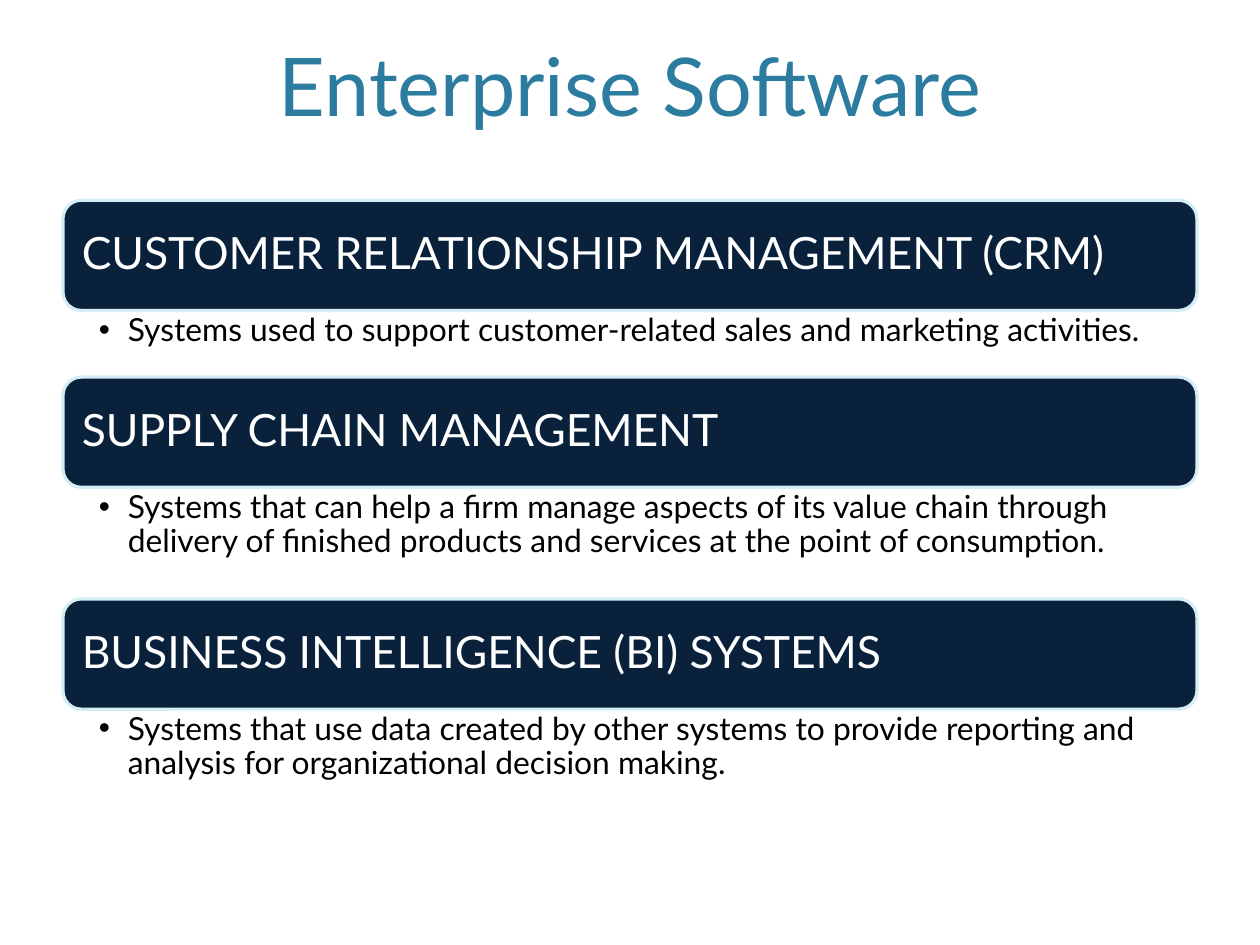
from lxml import etree
from pptx import Presentation
from pptx.dml.color import RGBColor
from pptx.enum import shapes, text
from pptx.oxml.ns import qn
from pptx.util import Cm, Pt

TITLE = "Enterprise Software"
# heading, description, height of the description in cm
SYSTEMS = [
    ("CUSTOMER RELATIONSHIP MANAGEMENT (CRM)",
     "Systems used to support customer-related sales and marketing activities.",
     1.48),
    ("SUPPLY CHAIN MANAGEMENT",
     "Systems that can help a firm manage aspects of its value chain through "
     "delivery of finished products and services at the point of consumption.",
     2.48),
    ("BUSINESS INTELLIGENCE (BI) SYSTEMS",
     "Systems that use data created by other systems to provide reporting and "
     "analysis for organizational decision making.",
     2.15),
]
FONT = "Lato"
NAVY, PALE, TEAL, WHITE, BLACK = "09213B", "D5EDF4", "2C7C9F", "FFFFFF", "000000"
LEFT, TOP, WIDTH, BAR_HEIGHT = 1.4, 4.45, 25.2, 2.45


def rgb(value):
    return RGBColor.from_string(value)


def write(sp, content, size, color, align=text.PP_ALIGN.LEFT,
          anchor=text.MSO_ANCHOR.TOP, insets=(0, 0, 0, 0), spacing=None,
          bullet=False):
    """Fill a shape with one formatted paragraph; insets are l, t, r, b in cm."""
    tf = sp.text_frame
    tf.word_wrap = True
    tf.auto_size = text.MSO_AUTO_SIZE.NONE
    tf.vertical_anchor = anchor
    tf.margin_left, tf.margin_top, tf.margin_right, tf.margin_bottom = map(Cm, insets)
    p = tf.paragraphs[0]
    p.alignment = align
    if spacing:
        p.line_spacing = spacing
    if bullet:
        pPr = p._p.get_or_add_pPr()
        pPr.set("marL", str(Cm(0.64)))
        pPr.set("indent", str(-Cm(0.64)))
        etree.SubElement(pPr, qn("a:buFont")).set("typeface", "Arial")
        etree.SubElement(pPr, qn("a:buChar")).set("char", "•")
    r = p.add_run()
    r.text = content
    r.font.name, r.font.size = FONT, Pt(size)
    r.font.color.rgb = rgb(color)


prs = Presentation()
prs.slide_width, prs.slide_height = Cm(28), Cm(21)
s = prs.slides.add_slide(prs.slide_layouts[5])

# Title
title = s.shapes.title
title.left, title.top, title.width, title.height = Cm(1.68), Cm(-1), Cm(24.64), Cm(4.1)
write(title, TITLE, 51, TEAL, align=text.PP_ALIGN.CENTER,
      anchor=text.MSO_ANCHOR.BOTTOM, insets=(0.28, 0.15, 0.28, 0.15))

# Heading bars, each with its description below
y = TOP
for heading, description, height in SYSTEMS:
    bar = s.shapes.add_shape(shapes.MSO_SHAPE.ROUNDED_RECTANGLE,
                             Cm(LEFT), Cm(y), Cm(WIDTH), Cm(BAR_HEIGHT))
    bar.shadow.inherit = False
    bar.fill.solid()
    bar.fill.fore_color.rgb = rgb(NAVY)
    bar.line.color.rgb = rgb(PALE)
    bar.line.width = Pt(2)
    # The rounded corners add their own 0.12 cm inset
    write(bar, heading, 28, WHITE, anchor=text.MSO_ANCHOR.MIDDLE,
          insets=(0.3, 0.3, 0.3, 0.3), spacing=0.9)
    y += BAR_HEIGHT

    box = s.shapes.add_textbox(Cm(LEFT), Cm(y), Cm(WIDTH), Cm(height))
    write(box, description, 20, BLACK, insets=(0.8, 0.08, 0.4, 0.08),
          spacing=0.9, bullet=True)
    y += height

prs.save("out.pptx")
